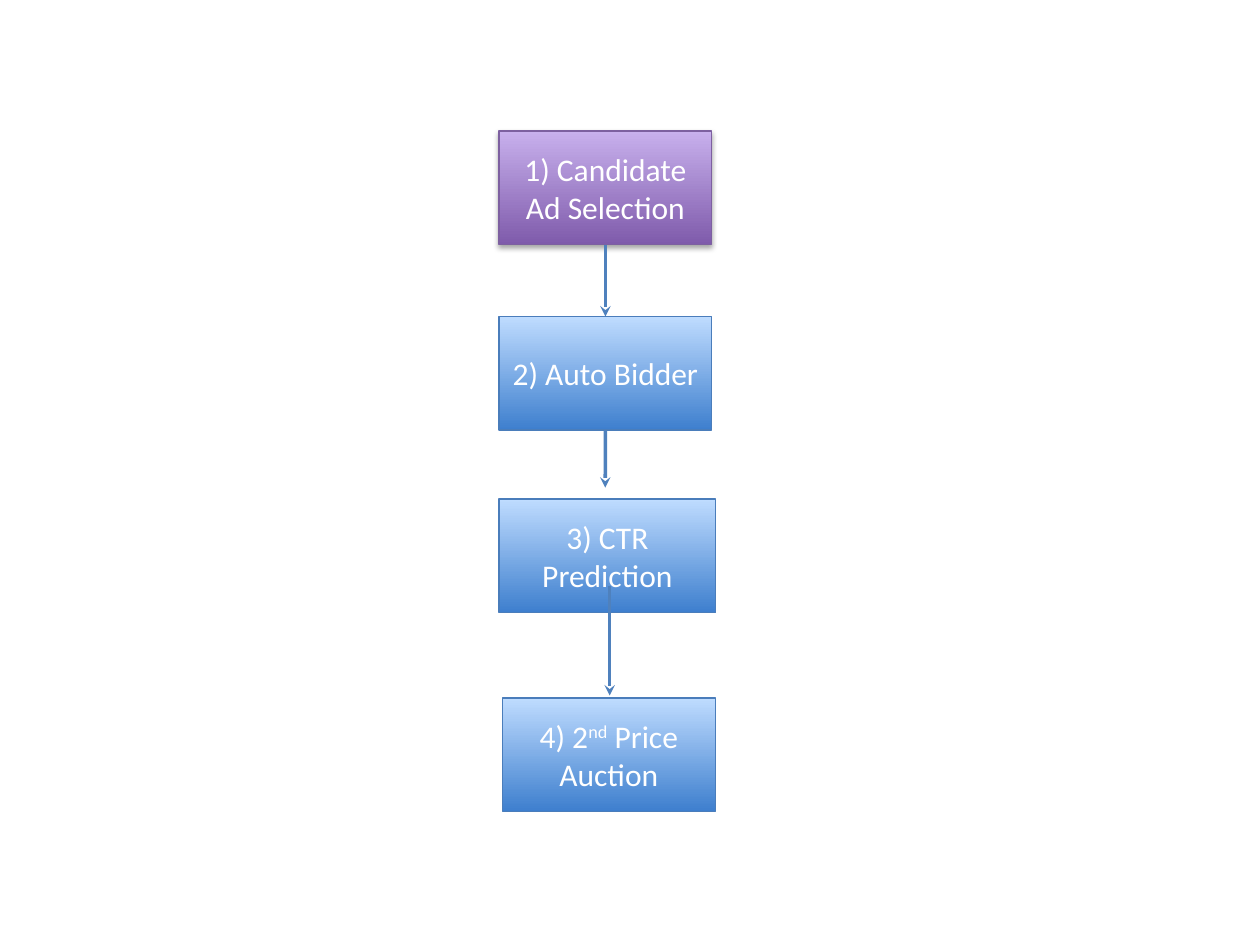
"""Build a slide with the four steps of an ad auction as a vertical flow."""
from lxml import etree
from pptx import Presentation
from pptx import util as u
from pptx.dml.color import RGBColor
from pptx.enum import shapes, text
from pptx.oxml import parse_xml
from pptx.oxml.ns import nsdecls, qn

COLORS = {
    "white": "FFFFFF",
    "arrow": "4F81BD",
    "purple_bottom": "7F5BAB", "purple_top": "C8B0ED", "purple_line": "7D60A0",
    "blue_bottom": "3E7FCE", "blue_top": "BFDCFF", "blue_line": "4A7DBB",
}
FONT = "Calibri"
BOX_WIDTH, BOX_HEIGHT = 4.29, 2.29

# Each step: text runs as (text, superscript), left, top, width, hue
STEPS = [
    ([("1) Candidate Ad Selection", False)], 10.06, 2.64, BOX_WIDTH, "purple"),
    ([("2) Auto Bidder", False)], 10.06, 6.38, BOX_WIDTH, "blue"),
    ([("3) CTR Prediction", False)], 10.06, 10.06, 4.37, "blue"),
    ([("4) 2", False), ("nd", True), (" Price Auction", False)],
     10.13, 14.07, BOX_WIDTH, "blue"),
]
# Each arrow: x, start y, end y, step joined at the start, step joined at the end
ARROWS = [
    (12.2, 4.93, 6.38, 0, 1),
    (12.2, 8.67, 9.83, 1, None),
    (12.29, 11.81, 14.02, None, None),
]
SHADOW = (
    f'<a:outerShdw {nsdecls("a")} blurRad="40000" dist="23000" dir="5400000" rotWithShape="0">'
    '<a:srgbClr val="000000"><a:alpha val="35000"/></a:srgbClr></a:outerShdw>'
)


def color(name):
    return RGBColor.from_string(COLORS[name])


def add_step(slide, runs, left, top, width, hue):
    shape = slide.shapes.add_shape(
        shapes.MSO_SHAPE.RECTANGLE, u.Cm(left), u.Cm(top), u.Cm(width), u.Cm(BOX_HEIGHT))
    shape.fill.gradient()
    shape.fill.gradient_angle = 90
    for stop, end in zip(shape.fill.gradient_stops, ("bottom", "top")):
        stop.color.rgb = color(f"{hue}_{end}")
        stop.position = 0 if end == "bottom" else 1
    shape.line.color.rgb = color(f"{hue}_line")
    shape.line.width = u.Pt(0.75)
    shape.shadow.inherit = False
    if hue == "purple":
        shape._element.spPr.find(qn("a:effectLst")).append(parse_xml(SHADOW))

    frame = shape.text_frame
    frame.word_wrap = True
    frame.vertical_anchor = text.MSO_ANCHOR.MIDDLE
    paragraph = frame.paragraphs[0]
    paragraph.alignment = text.PP_ALIGN.CENTER
    paragraph.font.name = FONT
    paragraph.font.size = u.Pt(18)
    paragraph.font.color.rgb = color("white")
    for words, superscript in runs:
        run = paragraph.add_run()
        run.text = words
        if superscript:
            run._r.get_or_add_rPr().set("baseline", "30000")
    return shape


def add_arrow(slide, boxes, x, start, end, source, target):
    arrow = slide.shapes.add_connector(
        shapes.MSO_CONNECTOR.STRAIGHT, u.Cm(x), u.Cm(start), u.Cm(x), u.Cm(end))
    if source is not None:
        arrow.begin_connect(boxes[source], 2)
    if target is not None:
        arrow.end_connect(boxes[target], 0)
    arrow.line.color.rgb = color("arrow")
    arrow.line.width = u.Pt(2)
    properties = arrow._element.spPr
    etree.SubElement(properties.find(qn("a:ln")), qn("a:tailEnd"), type="stealth")
    etree.SubElement(properties, qn("a:effectLst"))


def main():
    presentation = Presentation()
    presentation.slide_width, presentation.slide_height = u.Cm(25.4), u.Cm(19.05)
    slide = presentation.slides.add_slide(presentation.slide_layouts[6])
    boxes = [add_step(slide, *step) for step in STEPS]
    for arrow in ARROWS:
        add_arrow(slide, boxes, *arrow)
    presentation.save("out.pptx")


if __name__ == "__main__":
    main()
